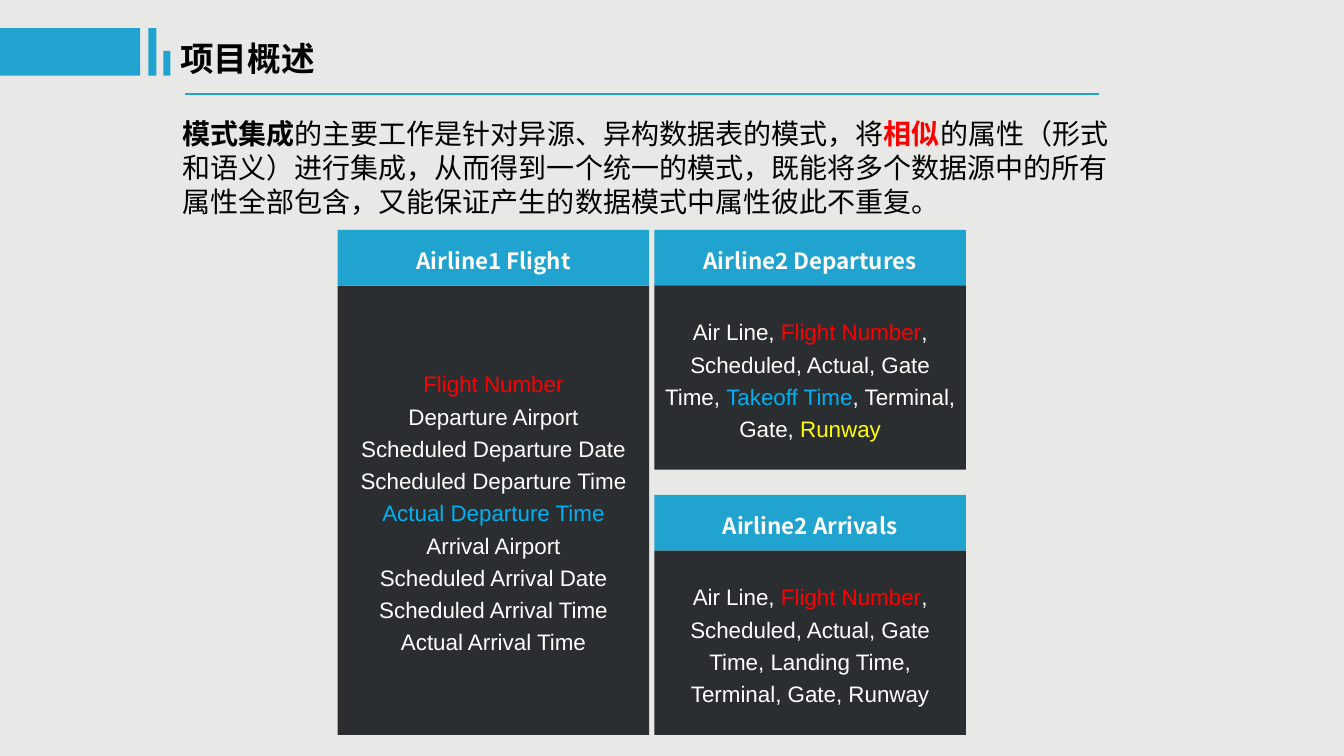
import pptx
import pptx.util
import pptx.dml.color
import pptx.enum.shapes
import pptx.enum.text
import lxml.etree

HUES = {
    "back": "E8E8E6", "blue": "21A3D0", "dark": "2B2E30", "white": "FFFFFF",
    "black": "000000", "red": "FF0000", "sky": "00B0F0", "gold": "FFFF00",
}
SANS, HAN = "Arial", "Noto Sans CJK SC"
WIDE, HIGH = 13.33, 7.5
COLS = ROWS = 100
MAIN = "http://schemas.openxmlformats.org/drawingml/2006/main"


def hue(name):
    return pptx.dml.color.RGBColor.from_string(HUES[name])


def grid(x, y, w, h):
    col, row = WIDE / COLS, HIGH / ROWS
    return [pptx.util.Inches(n) for n in (x * col, y * row, w * col, h * row)]


def write(para, runs, size, font):
    for text, tint, bold in runs:
        run = para.add_run()
        run.text = text
        run.font.size = pptx.util.Pt(size)
        run.font.name = font
        run.font.bold = bold
        run.font.color.rgb = hue(tint)
        east = lxml.etree.SubElement(run.font._element, f"{{{MAIN}}}ea")
        east.set("typeface", HAN)


def block(slide, box, fill):
    shape = slide.shapes.add_shape(
        pptx.enum.shapes.MSO_SHAPE.RECTANGLE, *grid(*box))
    shape.shadow.inherit = False
    shape.fill.solid()
    shape.fill.fore_color.rgb = hue(fill)
    shape.line.fill.background()
    return shape


def panel(slide, box, fill, lines, font):
    frame = block(slide, box, fill).text_frame
    frame.word_wrap = True
    frame.vertical_anchor = pptx.enum.text.MSO_ANCHOR.MIDDLE
    frame.margin_left = frame.margin_right = pptx.util.Inches(0.09)
    for i, runs in enumerate(lines):
        para = frame.add_paragraph() if i else frame.paragraphs[0]
        para.alignment = pptx.enum.text.PP_ALIGN.CENTER
        para.line_spacing = 1.2
        write(para, runs, 16, font)


def prose(slide, box, runs, size, font):
    frame = slide.shapes.add_textbox(*grid(*box)).text_frame
    frame.word_wrap = True
    write(frame.paragraphs[0], runs, size, font)


def card(slide, box, title, lines):
    x, y, w, h = box
    head = 7.37
    panel(slide, (x, y, w, head), "blue", [[(title, "white", True)]], HAN)
    panel(slide, (x, y + head, w, h - head), "dark", lines, SANS)


def header(slide, box, title):
    x, y, w, h = box
    for left, top, wide, tall in (
            (0, 0, 10.43, 6.27), (11.03, 0, 0.6, 6.27), (12.15, 3, 0.53, 3.27)):
        block(slide, (x + left, y + top, wide, tall), "blue")
    prose(slide, (x + 12.68, y + 0.67, 22.58, 6.67),
          [(title, "black", True)], 24, HAN)
    left, top, wide, tall = grid(x + 13.8, y + h, w - 13.8, 0)
    rule = slide.shapes.add_connector(
        pptx.enum.shapes.MSO_CONNECTOR.STRAIGHT, left, top, left + wide, top)
    rule.line.color.rgb = hue("blue")
    rule.line.width = pptx.util.Pt(1.5)
    lxml.etree.SubElement(rule._element.spPr, f"{{{MAIN}}}effectLst")


def schemas(slide, box):
    x, y, w, h = box
    gutter, gap = 0.38, 3.33
    wide, tall = (w - gutter) / 2, (h - gap) / 2
    right = x + wide + gutter
    tints = {"Flight Number": "red", "Actual Departure Time": "sky"}
    fields = (
        "Flight Number", "Departure Airport", "Scheduled Departure Date",
        "Scheduled Departure Time", "Actual Departure Time",
        "Arrival Airport", "Scheduled Arrival Date",
        "Scheduled Arrival Time", "Actual Arrival Time")
    card(slide, (x, y, wide, h), "Airline1 Flight",
         [[(name, tints.get(name, "white"), False)] for name in fields])
    start = [("Air Line, ", "white", False), ("Flight Number", "red", False)]
    leave = start + [
        (", Scheduled, Actual, Gate Time, ", "white", False),
        ("Takeoff Time", "sky", False),
        (", Terminal, Gate, ", "white", False),
        ("Runway", "gold", False)]
    land = start + [
        (", Scheduled, Actual, Gate Time, Landing Time, Terminal, Gate, Runway",
         "white", False)]
    pairs = (("Airline2 Departures", leave), ("Airline2 Arrivals", land))
    for i, (title, runs) in enumerate(pairs):
        card(slide, (right, y + i * (tall + gap), wide, tall), title, [runs])


def main():
    deck = pptx.Presentation()
    deck.slide_width = pptx.util.Inches(WIDE)
    deck.slide_height = pptx.util.Inches(HIGH)
    slide = deck.slides.add_slide(deck.slide_layouts[6])
    slide.background.fill.solid()
    slide.background.fill.fore_color.rgb = hue("back")
    schemas(slide, (25.13, 30.4, 46.74, 66.8))
    header(slide, (0, 3.73, 81.77, 8.67), "项目概述")
    prose(slide, (12.83, 14.8, 71.42, 14.8), [
        ("模式集成", "black", True),
        ("的主要工作是针对异源、异构数据表的模式，将", "black", False),
        ("相似", "red", True),
        ("的属性（形式和语义）进行集成，从而得到一个统一的模式，"
         "既能将多个数据源中的所有属性全部包含，"
         "又能保证产生的数据模式中属性彼此不重复。", "black", False),
    ], 20, SANS)
    deck.save("out.pptx")


if __name__ == "__main__":
    main()
